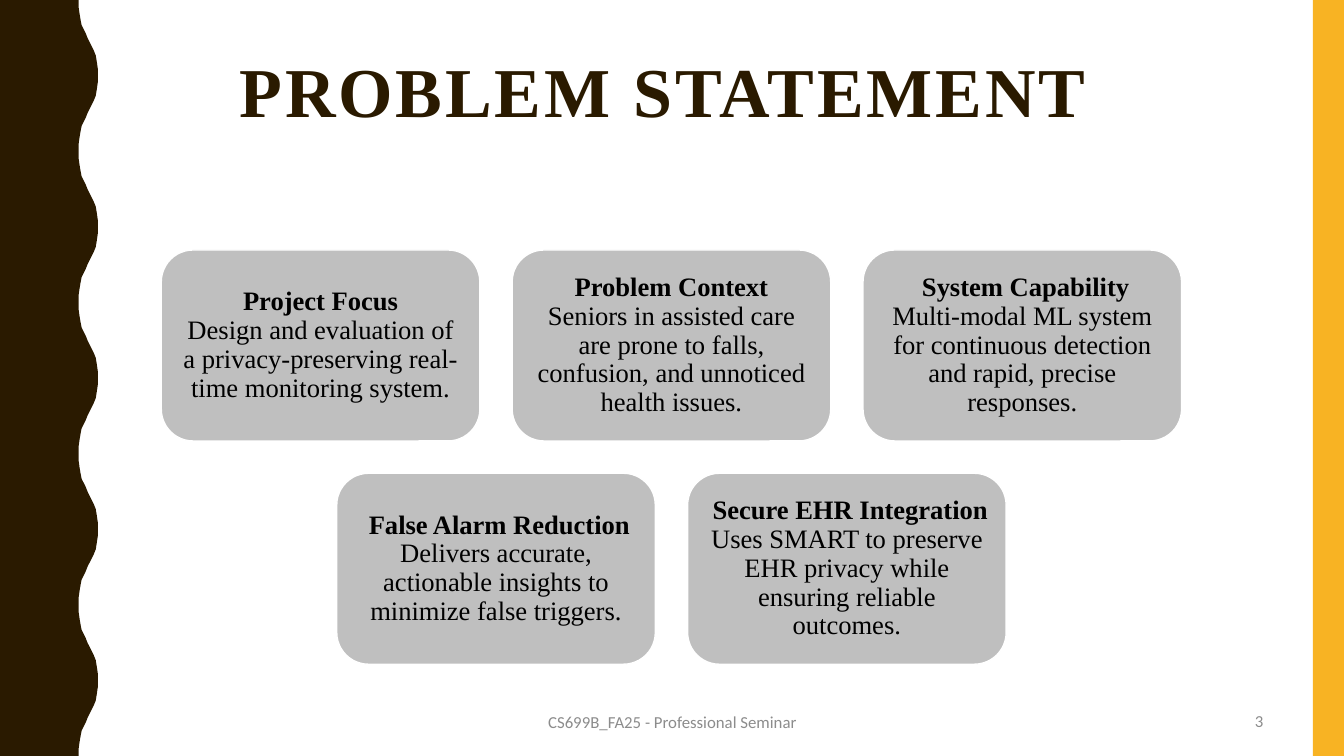
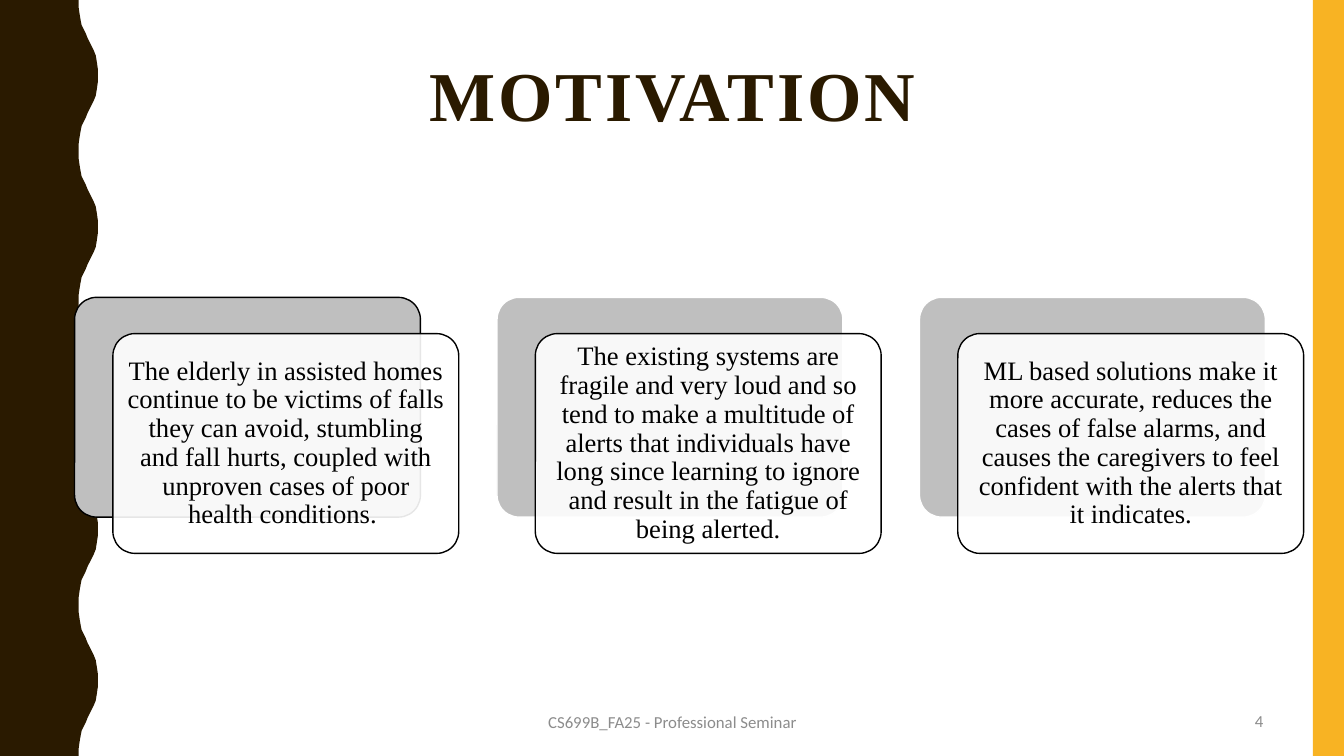
from pptx import Presentation
from pptx.dml.color import RGBColor
from pptx.enum.shapes import MSO_SHAPE
from pptx.enum.text import MSO_ANCHOR, PP_ALIGN
from pptx.oxml.ns import qn
from pptx.util import Inches, Pt
from lxml.etree import SubElement

# Shared style
SLIDE_WIDTH, SLIDE_HEIGHT = 13.33, 7.5
BROWN = RGBColor(0x2A, 0x1A, 0x00)
AMBER = RGBColor(0xF8, 0xB3, 0x23)
SILVER = RGBColor(0xBF, 0xBF, 0xBF)
GRAY = RGBColor(0x8C, 0x8C, 0x8C)
BLACK = RGBColor(0x00, 0x00, 0x00)
WHITE = RGBColor(0xFF, 0xFF, 0xFF)
SERIF, SANS = "Times New Roman", "Calibri"
FOOTER = "CS699B_FA25 - Professional Seminar"

# Wavy band: x and y of the outward half of one wave, mirrored for the way back
WAVE_LENGTH, WAVE_COUNT = 1.5, 5
HALF_WAVE = [
    (0.78, 0), (0.78, 0.07), (0.79, 0.14), (0.8, 0.2), (0.81, 0.25),
    (0.83, 0.29), (0.85, 0.33), (0.87, 0.38), (0.89, 0.42), (0.91, 0.46),
    (0.93, 0.5), (0.95, 0.55), (0.96, 0.61), (0.97, 0.68), (0.97, 0.75),
]

PROBLEM_ROWS = [
    [
        ("Project Focus", "Design and evaluation of a privacy-preserving "
         "real-time monitoring system."),
        ("Problem Context", "Seniors in assisted care are prone to falls, "
         "confusion, and unnoticed health issues."),
        (" System Capability", "Multi-modal ML system for continuous detection "
         "and rapid, precise responses."),
    ],
    [
        (" False Alarm Reduction", "Delivers accurate, actionable insights to "
         "minimize false triggers."),
        (" Secure EHR Integration", "Uses SMART to preserve EHR privacy while "
         "ensuring reliable outcomes."),
    ],
]

MOTIVATIONS = [
    "The elderly in assisted homes continue to be victims of falls they can "
    "avoid, stumbling and fall hurts, coupled with unproven cases of poor "
    "health conditions. ",
    "The existing systems are fragile and very loud and so tend to make a "
    "multitude of alerts that individuals have long since learning to ignore "
    "and result in the fatigue of being alerted.",
    "ML based solutions make it more accurate, reduces the cases of false "
    "alarms, and causes the caregivers to feel confident with the alerts that "
    "it indicates.",
]


def inches(box):
    return [Inches(length) for length in box]


def write(shape, text, size, color, font=SERIF, align=PP_ALIGN.CENTER,
          anchor=MSO_ANCHOR.MIDDLE, spacing=1.0, margin=None):
    """Fill a shape with one paragraph and return its runs."""
    frame = shape.text_frame
    frame.text = text
    frame.word_wrap = True
    frame.vertical_anchor = anchor
    if margin is not None:
        frame.margin_left = frame.margin_right = Inches(margin)
        frame.margin_top = frame.margin_bottom = Inches(margin)
    paragraph = frame.paragraphs[0]
    paragraph.alignment = align
    paragraph.line_spacing = spacing
    for run in paragraph.runs:
        run.font.name, run.font.size = font, Pt(size)
        run.font.color.rgb = color
    return paragraph.runs


def paint(shape, fill, line=None):
    shape.shadow.inherit = False
    shape.fill.solid()
    shape.fill.fore_color.rgb = fill
    if line is None:
        shape.line.fill.background()
    else:
        shape.line.color.rgb = line
        shape.line.width = Pt(1)


def add_panel(slide, box, fill, line, corner=None):
    panel = slide.shapes.add_shape(MSO_SHAPE.ROUNDED_RECTANGLE, *inches(box))
    paint(panel, fill, line)
    if corner is not None:
        panel.adjustments[0] = corner
    return panel


def set_opacity(shape, percent):
    color = shape.fill._xPr.find(qn("a:solidFill"))[0]
    SubElement(color, qn("a:alpha")).set("val", str(percent * 1000))


def add_side_bands(slide):
    # Wavy brown edge
    wave = HALF_WAVE + [(x, WAVE_LENGTH - y) for x, y in HALF_WAVE[-2::-1]]
    edge = [(x, y + index * WAVE_LENGTH)
            for index in range(WAVE_COUNT) for x, y in wave]
    outline = slide.shapes.build_freeform(0, 0, scale=1.0)
    outline.add_line_segments([inches(point) for point in edge + [(0, SLIDE_HEIGHT)]],
                              close=True)
    paint(outline.convert_to_shape(), BROWN)
    # Amber strip
    width = 0.31
    strip = slide.shapes.add_shape(
        MSO_SHAPE.RECTANGLE,
        *inches((SLIDE_WIDTH - width, 0, width, SLIDE_HEIGHT)))
    paint(strip, AMBER)


def add_title(slide, text, top):
    title = slide.shapes.add_textbox(*inches((0.57, top, 12.2, 1.6)))
    for run in write(title, text, 50, BROWN, anchor=MSO_ANCHOR.TOP, spacing=0.9):
        run.font.bold = True
        run._r.get_or_add_rPr().set("spc", "200")


def add_footer(slide, number):
    for text, box, align in (
        (FOOTER, (4.42, 6.97, 4.5, 0.38), PP_ALIGN.CENTER),
        (str(number), (9.63, 6.95, 3, 0.4), PP_ALIGN.RIGHT),
    ):
        footer = slide.shapes.add_textbox(*inches(box))
        write(footer, text, 12, GRAY, SANS, align)


def add_card_rows(slide, rows, box, columns=3, gap=0.32):
    """Rows of headed cards, each row centred in the box."""
    left, top, width, height = box
    card_width = (width - (columns - 1) * gap) / columns
    card_height = (height - (len(rows) - 1) * gap) / len(rows)
    for row_index, row in enumerate(rows):
        indent = (columns - len(row)) * (card_width + gap) / 2
        y = top + row_index * (card_height + gap)
        for column, (heading, body) in enumerate(row):
            x = left + indent + column * (card_width + gap)
            card = add_panel(slide, (x, y, card_width, card_height), SILVER, WHITE)
            runs = write(card, f"{heading}\v{body}", 19, BLACK,
                         spacing=0.9, margin=0.08)
            runs[0].font.bold = True


def add_layered_cards(slide, texts, box, gap=0.38, drop=0.36):
    """Translucent text cards, each shifted over a silver panel."""
    left, top, width, height = box
    pitch = (width + gap) / len(texts)
    card_width, card_height = pitch - 2 * gap, height - drop
    for index, text in enumerate(texts):
        x = left + index * pitch
        add_panel(slide, (x, top, card_width, card_height), SILVER,
                  BLACK if index == 0 else WHITE, corner=0.1)
        card = add_panel(slide, (x + gap, top + drop, card_width, card_height),
                         WHITE, BLACK, corner=0.1)
        set_opacity(card, 90)
        write(card, text, 19, BLACK, spacing=0.9, margin=0.08)


def add_slide(presentation, title, title_top, number):
    slide = presentation.slides.add_slide(presentation.slide_layouts[6])
    add_side_bands(slide)
    add_title(slide, title, title_top)
    add_footer(slide, number)
    return slide


def main():
    presentation = Presentation()
    presentation.slide_width = Inches(SLIDE_WIDTH)
    presentation.slide_height = Inches(SLIDE_HEIGHT)

    problem = add_slide(presentation, "PROBLEM STATEMENT ", 0.52, 3)
    add_card_rows(problem, PROBLEM_ROWS, (1.6, 2.48, 10.12, 4.11))

    motivation = add_slide(presentation, "MOTIVATION", 0.56, 4)
    add_layered_cards(motivation, MOTIVATIONS, (0.74, 2.95, 12.19, 2.54))

    presentation.save("out.pptx")


if __name__ == "__main__":
    main()
